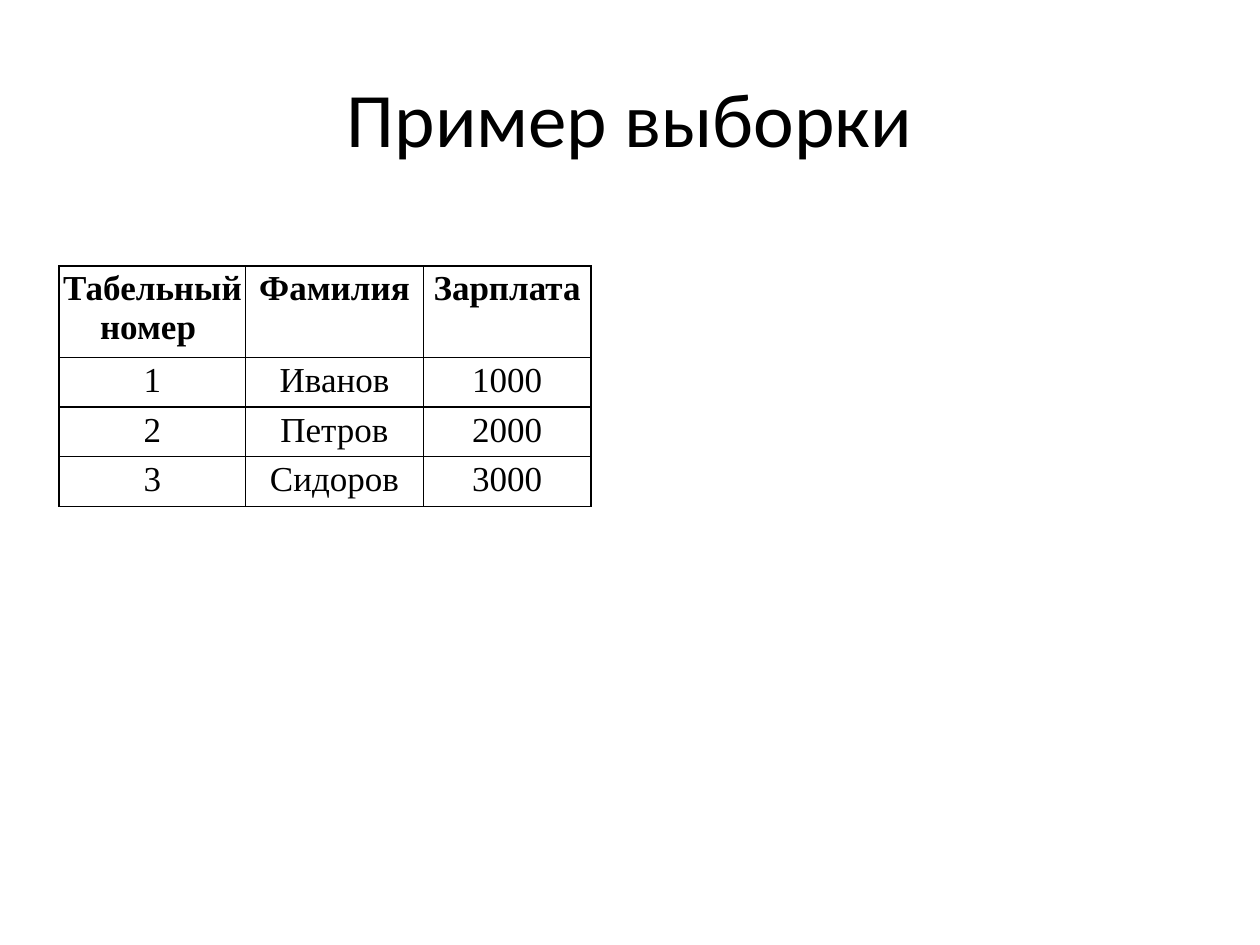
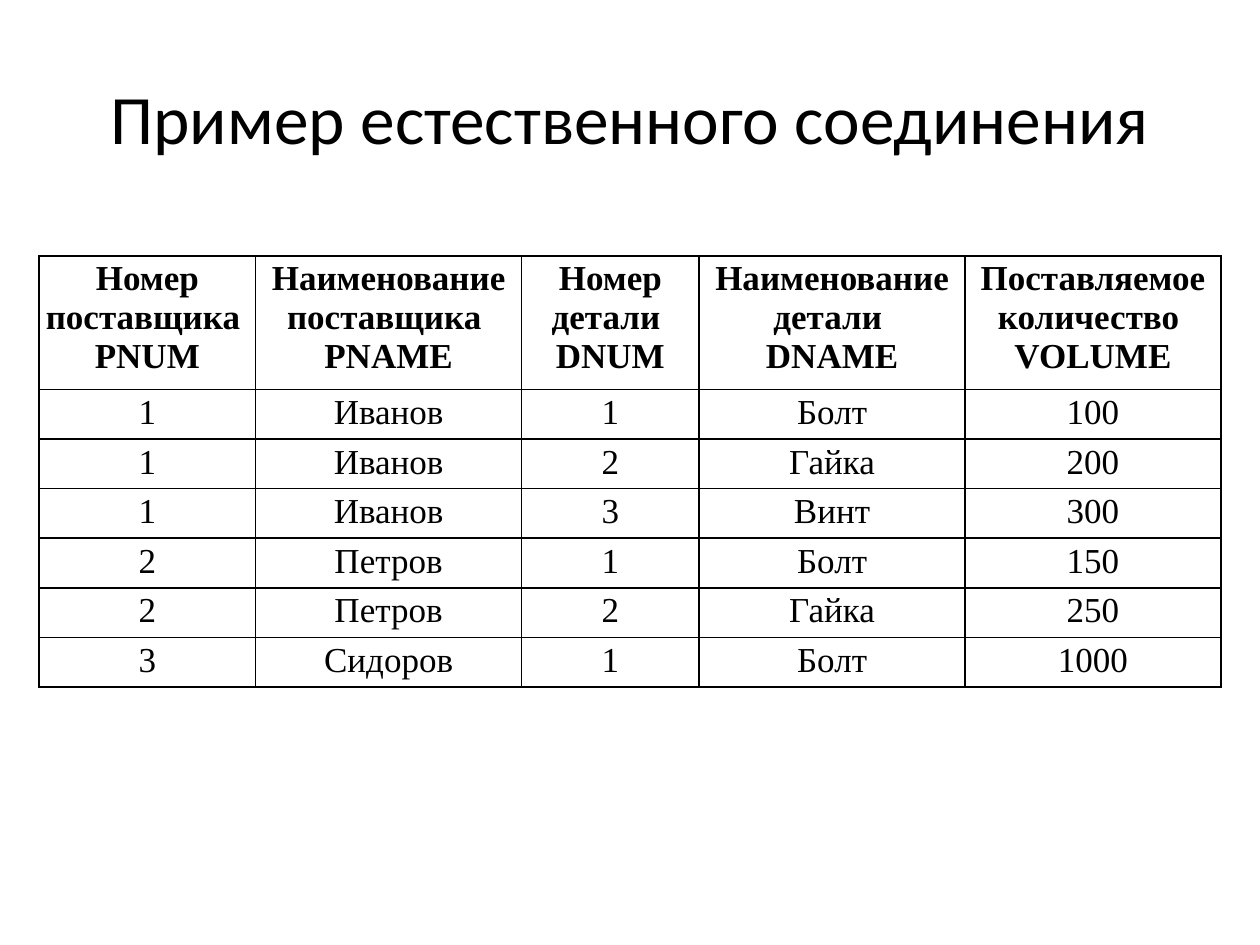
from dataclasses import dataclass

from lxml.etree import SubElement
from pptx import Presentation
from pptx.dml.color import RGBColor as Color
from pptx.enum.text import MSO_ANCHOR as Anchor, PP_ALIGN as Align
from pptx.oxml.ns import qn
from pptx.util import Inches, Pt


@dataclass(frozen=True)
class Theme:
    ink: str = "000000"
    title_font: str = "Calibri"
    table_font: str = "Times New Roman"
    title_size: float = 44
    long_title_size: float = 39.6
    table_size: float = 20
    border: float = 1
    cell_margin: float = 0.03


GRID_COLUMNS, GRID_ROWS = 100, 75
BODY_ROW = 3.7


def write_text(frame, text, *, font, size, color, bold=False):
    for index, line in enumerate(text.split("\n")):
        para = frame.add_paragraph() if index else frame.paragraphs[0]
        para.alignment = Align.CENTER
        span = para.add_run()
        span.text = line
        span.font.name = font
        span.font.size = Pt(size)
        span.font.bold = bold
        span.font.color.rgb = Color.from_string(color)


class Slides:
    def __init__(self, theme):
        self.theme = theme
        self.deck = Presentation()
        self.deck.slide_width, self.deck.slide_height = Inches(10), Inches(7.5)
        self.page = None

    def across(self, columns):
        return round(self.deck.slide_width * columns / GRID_COLUMNS)

    def down(self, rows):
        return round(self.deck.slide_height * rows / GRID_ROWS)

    def add_page(self):
        self.page = self.deck.slides.add_slide(self.deck.slide_layouts[6])

    def add_title(self, text, size):
        box = self.page.shapes.add_textbox(
            self.across(5), self.down(3), self.across(90), self.down(12.5))
        frame = box.text_frame
        frame.word_wrap = True
        frame.vertical_anchor = Anchor.MIDDLE
        write_text(frame, text, font=self.theme.title_font, size=size,
                   color=self.theme.ink)

    def add_borders(self, cell):
        properties = cell._tc.get_or_add_tcPr()
        for side in ("lnL", "lnR", "lnT", "lnB"):
            line = SubElement(properties, qn(f"a:{side}"), w=str(Pt(self.theme.border)))
            fill = SubElement(line, qn("a:solidFill"))
            SubElement(fill, qn("a:srgbClr"), val=self.theme.ink)

    def add_table(self, left, top, widths, header_height, records):
        heights = [header_height] + [BODY_ROW] * (len(records) - 1)
        table = self.page.shapes.add_table(
            len(heights), len(widths), self.across(left), self.down(top),
            self.across(sum(widths)), self.down(sum(heights))).table
        table.first_row = table.horz_banding = False
        for column, width in zip(table.columns, widths):
            column.width = self.across(width)
        for row, height in zip(table.rows, heights):
            row.height = self.down(height)
        for row_index, record in enumerate(records):
            for column_index, text in enumerate(record):
                self.fill_cell(table.cell(row_index, column_index), text,
                               bold=row_index == 0)

    def fill_cell(self, cell, text, bold):
        margin = Inches(self.theme.cell_margin)
        cell.margin_left = cell.margin_right = margin
        cell.margin_top = cell.margin_bottom = margin
        self.add_borders(cell)
        cell.fill.background()
        write_text(cell.text_frame, text, font=self.theme.table_font,
                   size=self.theme.table_size, color=self.theme.ink, bold=bold)


EMPLOYEES = [
    ("Табельный номер ", "Фамилия", "Зарплата"),
    ("1", "Иванов", "1000"),
    ("2", "Петров", "2000"),
    ("3", "Сидоров", "3000"),
]

SUPPLIES = [
    ("Номер поставщика \nPNUM", "Наименование поставщика \nPNAME",
     "Номер детали \nDNUM", "Наименование детали \nDNAME",
     "Поставляемое количество \nVOLUME"),
    ("1", "Иванов", "1", "Болт", "100"),
    ("1", "Иванов", "2", "Гайка", "200"),
    ("1", "Иванов", "3", "Винт", "300"),
    ("2", "Петров", "1", "Болт", "150"),
    ("2", "Петров", "2", "Гайка", "250"),
    ("3", "Сидоров", "1", "Болт", "1000"),
]


def main():
    theme = Theme()
    slides = Slides(theme)

    slides.add_page()
    slides.add_title("Пример выборки", theme.title_size)
    slides.add_table(4.7, 21.1, [14.8, 14.1, 13.3], 6.75, EMPLOYEES)

    slides.add_page()
    slides.add_title("Пример естественного соединения", theme.long_title_size)
    slides.add_table(3.1, 20.3, [17.2, 21.1, 14.1, 21.1, 20.3], 9.85, SUPPLIES)

    slides.deck.save("out.pptx")


if __name__ == "__main__":
    main()
